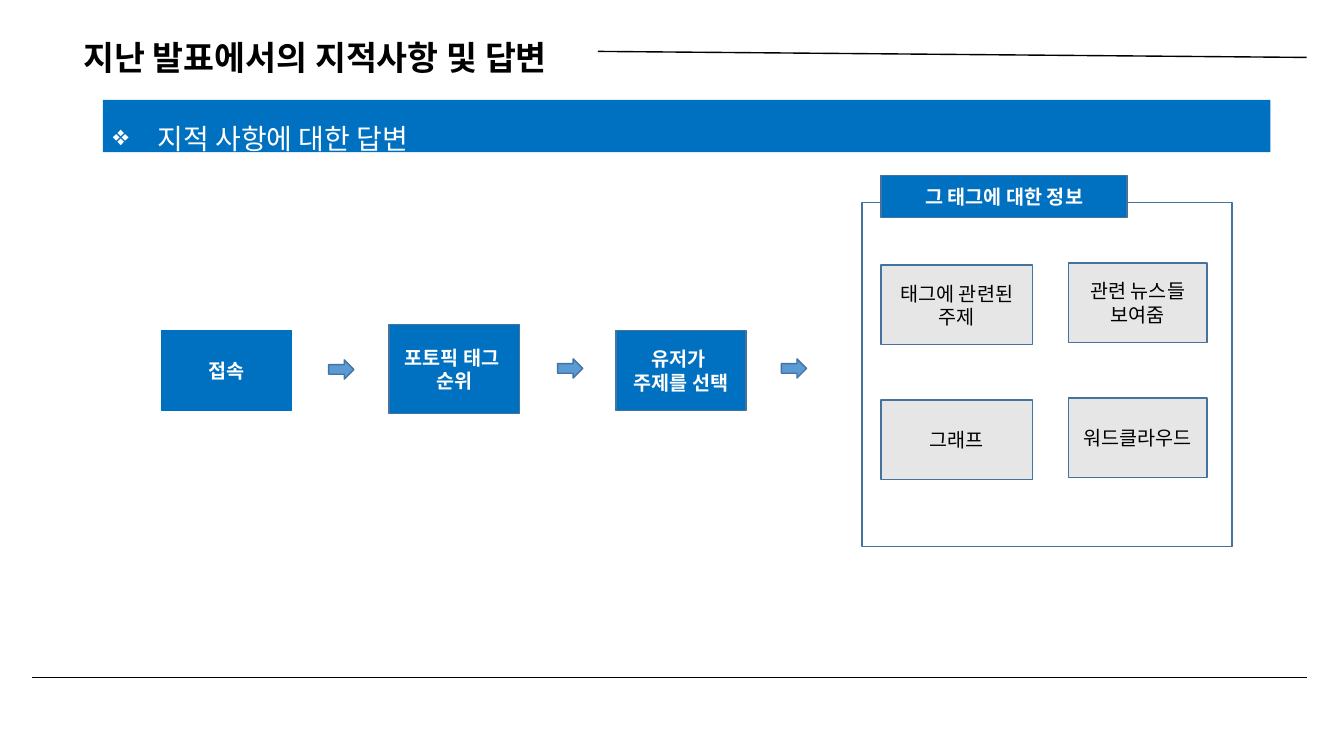
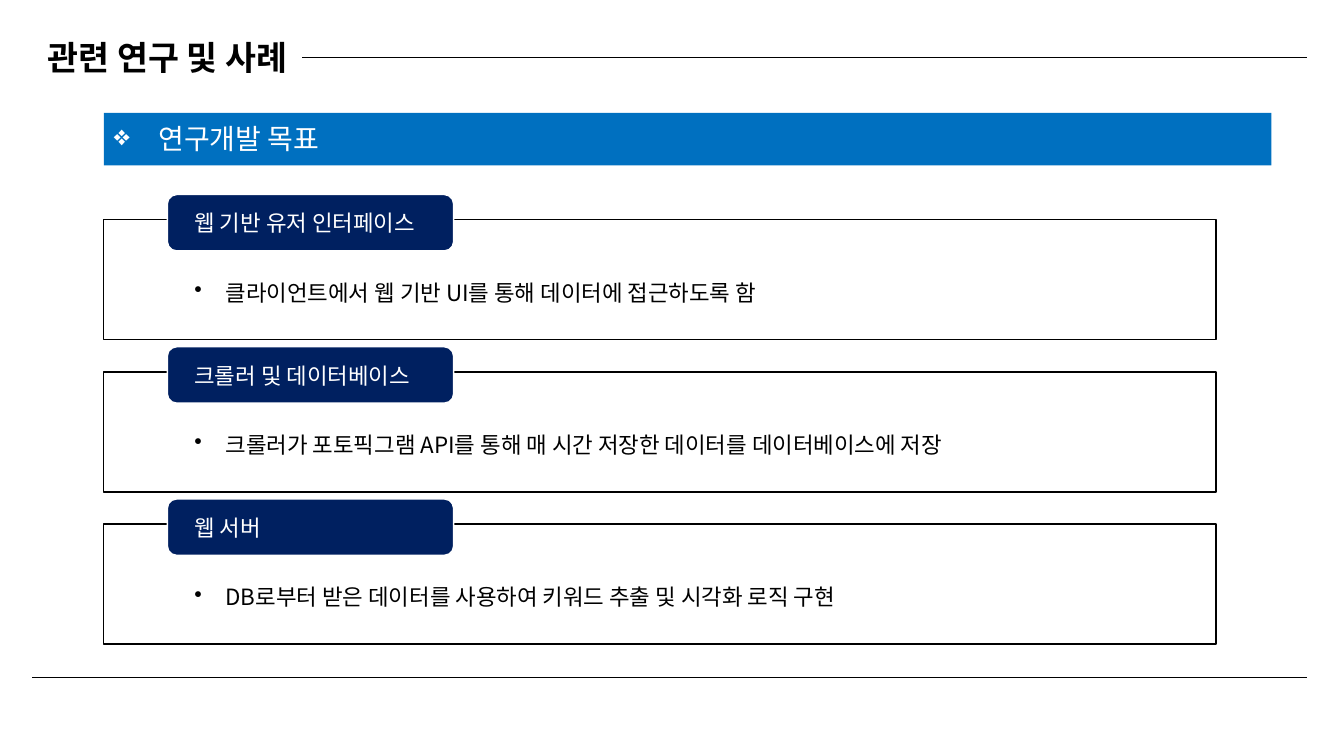
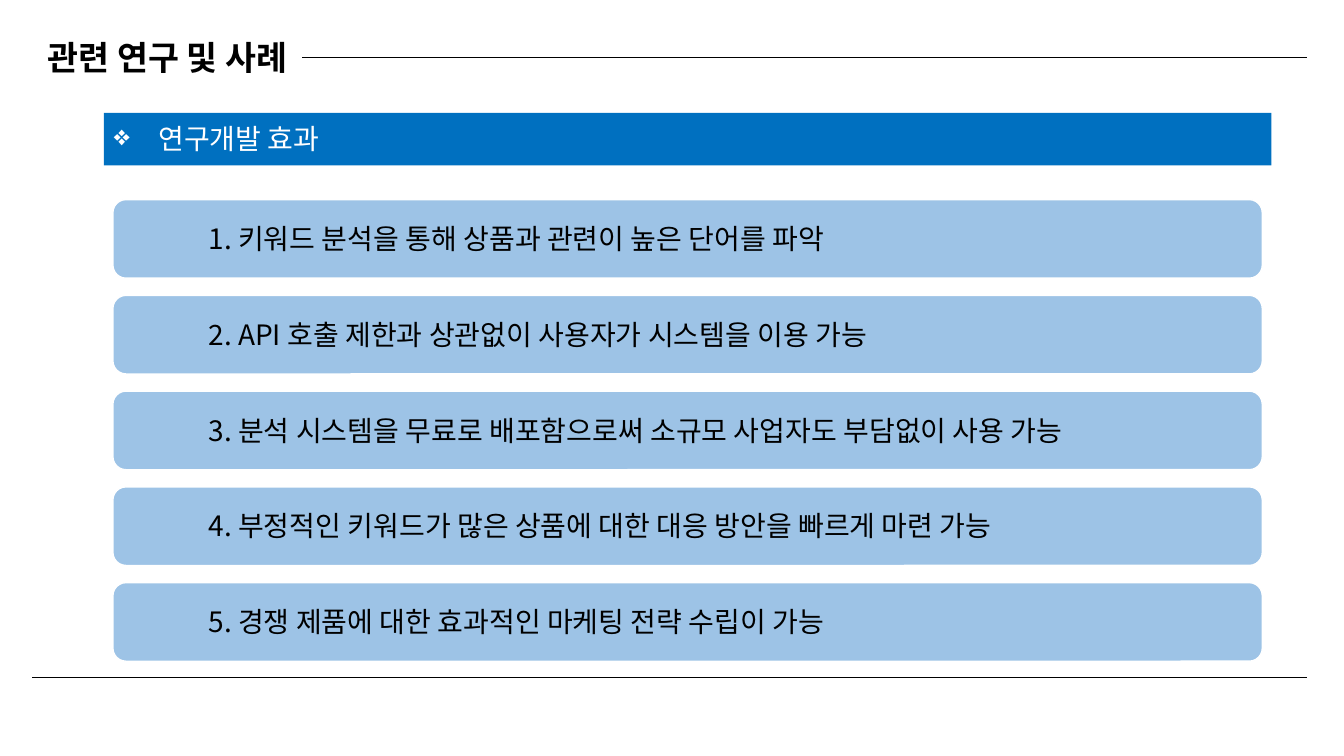
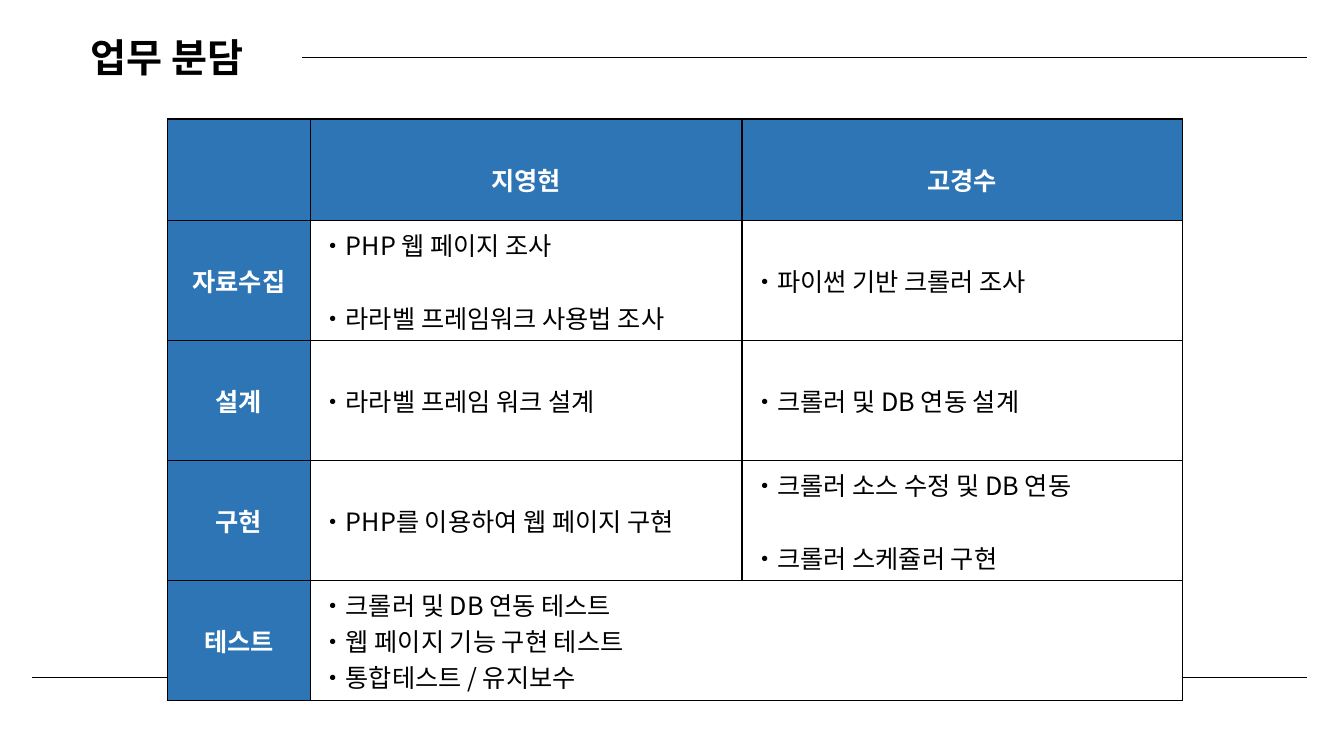
import pptx
import pptx.dml.color
import pptx.enum.shapes
import pptx.enum.text
import pptx.oxml
import pptx.oxml.ns
import pptx.util

PX = 9144
FONT = "Noto Sans CJK KR"
BLACK, WHITE = "000000", "FFFFFF"
BLUE, NAVY, SKY, TABLE_BLUE = "0070C0", "002060", "9DC3E6", "2E75B6"
ARROW_BLUE, EDGE, GRAY = "5B9BD5", "43739E", "E7E6E6"
SHAPE = pptx.enum.shapes.MSO_SHAPE
ANCHOR = pptx.enum.text.MSO_ANCHOR
ALIGN = pptx.enum.text.PP_ALIGN
CENTER = {"alignment": ALIGN.CENTER}


def px(length):
    return pptx.util.Emu(length * PX)


def color(value):
    return pptx.dml.color.RGBColor.from_string(value)


def element(markup):
    tag, rest = markup.split(" ", 1)
    return pptx.oxml.parse_xml(f"<{tag} {pptx.oxml.ns.nsdecls('a')} {rest}")


def apply(target, values):
    for name, value in values.items():
        setattr(target, name, value)


class Deck:
    """Holds the shared style and the slide being drawn."""

    def __init__(self):
        self.presentation = pptx.Presentation()
        apply(self.presentation, {"slide_width": px(1333), "slide_height": px(750)})
        self.slide = None

    def new_slide(self, title, width=268, top=20, size=24, joined=False):
        layout = self.presentation.slide_layouts[6]
        self.slide = self.presentation.slides.add_slide(layout)
        title_box = self.text((32, top, width, 62), [title], size, bold=True,
                              anchor=ANCHOR.BOTTOM,
                              layout={"line_spacing": 0.9, **CENTER})
        rule = self.line(32 + width, 57, 1296, 57)
        if joined:
            rule.begin_connect(title_box, 3)
        self.line(32, 672, 1296, 672)

    def line(self, x1, y1, x2, y2):
        connector = self.slide.shapes.add_connector(
            pptx.enum.shapes.MSO_CONNECTOR.STRAIGHT, px(x1), px(y1), px(x2), px(y2))
        connector.line.color.rgb = color(BLACK)
        connector.line.width = pptx.util.Pt(1)
        connector._element.spPr.append(element("a:effectLst />"))
        return connector

    def shape(self, kind, box, fill, edge=None):
        shape = self.slide.shapes.add_shape(kind, *map(px, box))
        shape.shadow.inherit = False
        shape.fill.solid()
        shape.fill.fore_color.rgb = color(fill)
        if edge:
            shape.line.color.rgb = color(edge)
            shape.line.width = pptx.util.Pt(1)
        else:
            shape.line.fill.background()
        return shape

    def box(self, box, lines, fill=BLUE, edge=EDGE, text_color=WHITE, bold=True):
        shape = self.shape(SHAPE.RECTANGLE, box, fill, edge)
        shape.text_frame.vertical_anchor = ANCHOR.MIDDLE
        self.paragraphs(shape.text_frame, lines, 14, text_color, bold, CENTER)

    def text(self, box, lines, size, text_color=BLACK, bold=False,
             anchor=ANCHOR.TOP, **style):
        text_box = self.slide.shapes.add_textbox(*map(px, box))
        apply(text_box.text_frame, {"word_wrap": True, "vertical_anchor": anchor})
        self.paragraphs(text_box.text_frame, lines, size, text_color, bold, **style)
        return text_box

    def paragraphs(self, frame, lines, size, text_color, bold, layout=None,
                   indent=None, bullet=None, gap=0):
        for index, content in enumerate(lines):
            paragraph = frame.add_paragraph() if index else frame.paragraphs[0]
            apply(paragraph, layout or {})
            if index and gap:
                paragraph.space_before = pptx.util.Pt(gap)
            properties = paragraph._p.get_or_add_pPr()
            if indent:
                for name, length in zip(("marL", "indent"), indent):
                    properties.set(name, str(px(length)))
            if bullet:
                properties.append(element(f'a:buChar char="{bullet}"/>'))
            run = paragraph.add_run()
            run.text = content
            apply(run.font, {"name": FONT, "size": pptx.util.Pt(size), "bold": bold})
            run.font.color.rgb = color(text_color)
            run._r.get_or_add_rPr().append(element(f'a:ea typeface="{FONT}"/>'))

    def band(self, content, left=103, top=112, text_box=(119, 523), spacing=0.9):
        self.shape(SHAPE.RECTANGLE, (left, top, 1158, 52), BLUE)
        text_top, text_height = text_box
        self.text((left, text_top, 1158, text_height), [content], 20, WHITE,
                  indent=(38, -38), bullet="❖",
                  layout={"line_spacing": spacing, "space_before": pptx.util.Pt(10)})

    def table(self, left, top, widths, heights):
        table = self.slide.shapes.add_table(
            len(heights), len(widths), px(left), px(top),
            px(sum(widths)), px(sum(heights))).table
        for column, width in zip(table.columns, widths):
            column.width = px(width)
        for row, height in zip(table.rows, heights):
            row.height = px(height)
        return table

    def cell(self, cell, lines, heading, gap=0):
        cell.fill.solid()
        cell.fill.fore_color.rgb = color(TABLE_BLUE if heading else WHITE)
        cell.vertical_anchor = ANCHOR.MIDDLE
        for index, side in enumerate("LRTB"):
            cell._tc.get_or_add_tcPr().insert(index, element(
                f'a:ln{side} w="12700"><a:solidFill><a:srgbClr val="{BLACK}"/>'
                f"</a:solidFill></a:ln{side}>"))
        self.paragraphs(cell.text_frame, lines, 18, WHITE if heading else BLACK,
                        heading, CENTER if heading else None, gap=gap)


def answers(deck):
    deck.new_slide("지난 발표에서의 지적사항 및 답변", width=561, joined=True)
    deck.band(" 지적 사항에 대한 답변", 102, 99, (99, 278), 1.5)
    deck.shape(SHAPE.RECTANGLE, (855, 201, 367, 341), WHITE, EDGE)
    deck.box((160, 328, 129, 79), ["접속"], edge=BLUE)
    deck.box((386, 322, 129, 88), ["포토픽 태그 ", "순위"])
    deck.box((611, 328, 129, 79), ["유저가 ", "주제를 선택"])
    deck.box((874, 174, 244, 42), ["그 태그에 대한 정보"])
    details = [
        (874, 150, 263, [["태그에 관련된", "주제"], ["그래프"]]),
        (1060, 137, 261, [["관련 뉴스들", "보여줌"], ["워드클라우드"]]),
    ]
    for left, width, top, column in details:
        for row, lines in enumerate(column):
            deck.box((left, top + 134 * row, width, 79), lines, GRAY,
                     text_color=BLACK, bold=False)
    for left, top in ((326, 357), (553, 356), (775, 356)):
        deck.shape(SHAPE.RIGHT_ARROW, (left, top, 25, 19), ARROW_BLUE, EDGE)


def goals(deck):
    deck.new_slide("관련 연구 및 사례")
    deck.band(" 연구개발 목표")
    sections = [
        ("웹 기반 유저 인터페이스", "클라이언트에서 웹 기반 UI를 통해 데이터에 접근하도록 함"),
        ("크롤러 및 데이터베이스",
         "크롤러가 포토픽그램 API를 통해 매 시간 저장한 데이터를 데이터베이스에 저장"),
        ("웹 서버", "DB로부터 받은 데이터를 사용하여 키워드 추출 및 시각화 로직 구현"),
    ]
    for index, (label, detail) in enumerate(sections):
        top = 218 + 151 * index
        deck.shape(SHAPE.RECTANGLE, (103, top, 1103, 119), WHITE, BLACK)
        deck.shape(SHAPE.ROUNDED_RECTANGLE, (166, top - 25, 284, 56), NAVY, WHITE)
        deck.text((133, top - 15, 318, 37), [label], 16, WHITE, indent=(50, 0))
        deck.text((133, top + 54, 914, 37), [detail], 16,
                  indent=(81, -31), bullet="•")


def effects(deck):
    deck.new_slide("관련 연구 및 사례")
    deck.band(" 연구개발 효과")
    lines = [
        "1. 키워드 분석을 통해 상품과 관련이 높은 단어를 파악",
        "2. API 호출 제한과 상관없이 사용자가 시스템을 이용 가능",
        "3. 분석 시스템을 무료로 배포함으로써 소규모 사업자도 부담없이 사용 가능",
        "4. 부정적인 키워드가 많은 상품에 대한 대응 방안을 빠르게 마련 가능",
        "5. 경쟁 제품에 대한 효과적인 마케팅 전략 수립이 가능",
    ]
    for index, content in enumerate(lines):
        top = 198 + 95 * index
        deck.shape(SHAPE.ROUNDED_RECTANGLE, (112, top, 1140, 78), SKY, WHITE)
        deck.text((147, top + 17, 1047, 44), [content], 20, indent=(50, 0))


def duties(deck):
    deck.new_slide("업무 분담", top=23, size=28)
    rows = [
        [[], ["지영현"], ["고경수"]],
        [["자료수집"], ["・PHP 웹 페이지 조사", "・라라벨 프레임워크 사용법 조사"],
         ["・파이썬 기반 크롤러 조사"]],
        [["설계"], ["・라라벨 프레임 워크 설계"], ["・크롤러 및 DB 연동 설계"]],
        [["구현"], ["・PHP를 이용하여 웹 페이지 구현"],
         ["・크롤러 소스 수정 및 DB 연동", "・크롤러 스케쥴러 구현"]],
        [["테스트"], ["・크롤러 및 DB 연동 테스트", "・웹 페이지 기능 구현 테스트",
                   "・통합테스트 / 유지보수"], []],
    ]
    table = deck.table(166, 118, (142, 428, 437), (101, 119, 119, 119, 119))
    for row, cells in enumerate(rows):
        for column, lines in enumerate(cells):
            cell = table.cell(row, column)
            deck.cell(cell, lines, row == 0 or column == 0,
                      gap=26 if len(lines) == 2 else 0)
            if row == 0:
                cell.margin_top = px(25)
    table.cell(4, 1).merge(table.cell(4, 2))


def main():
    deck = Deck()
    for build in (answers, goals, effects, duties):
        build(deck)
    deck.presentation.save("out.pptx")


if __name__ == "__main__":
    main()
